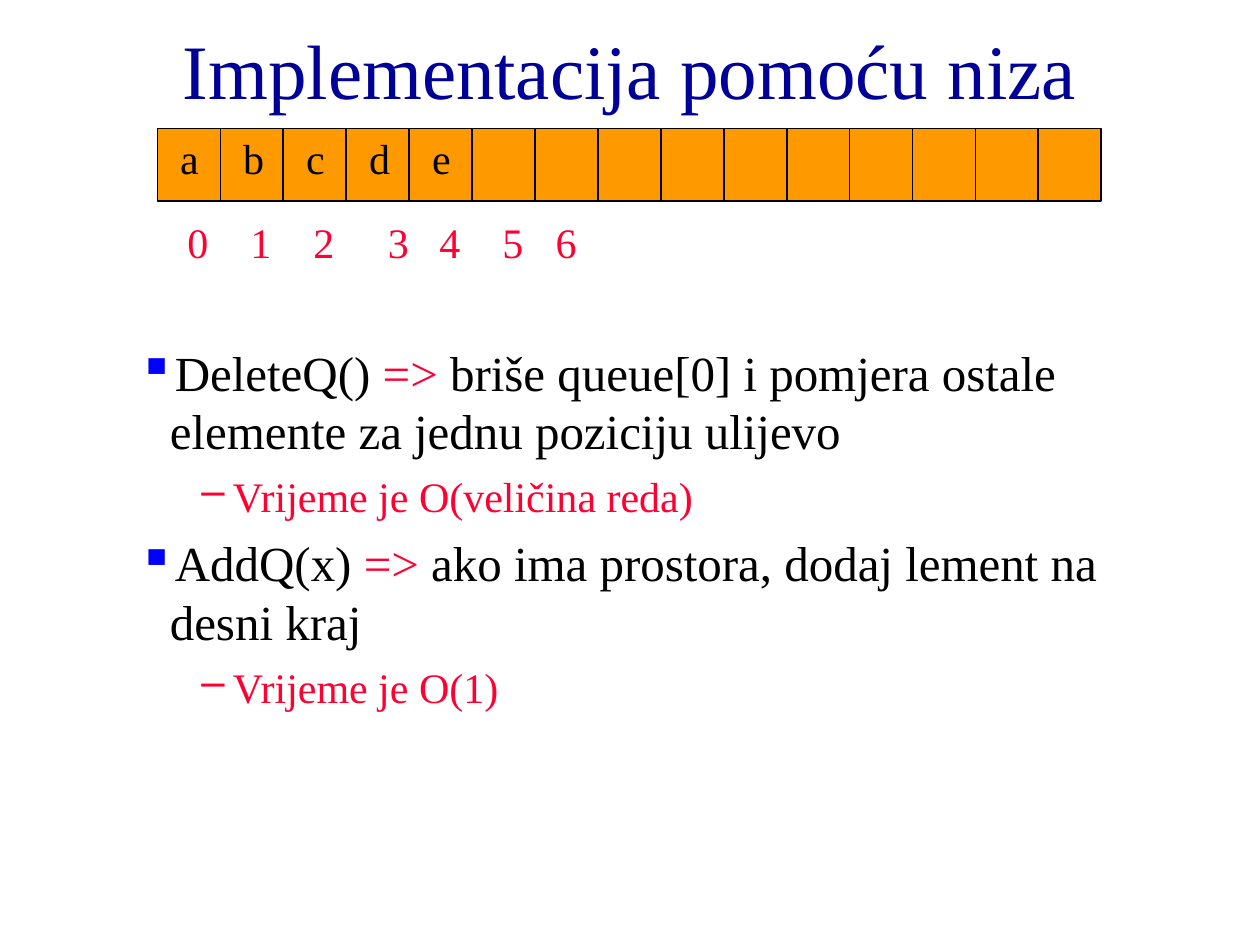
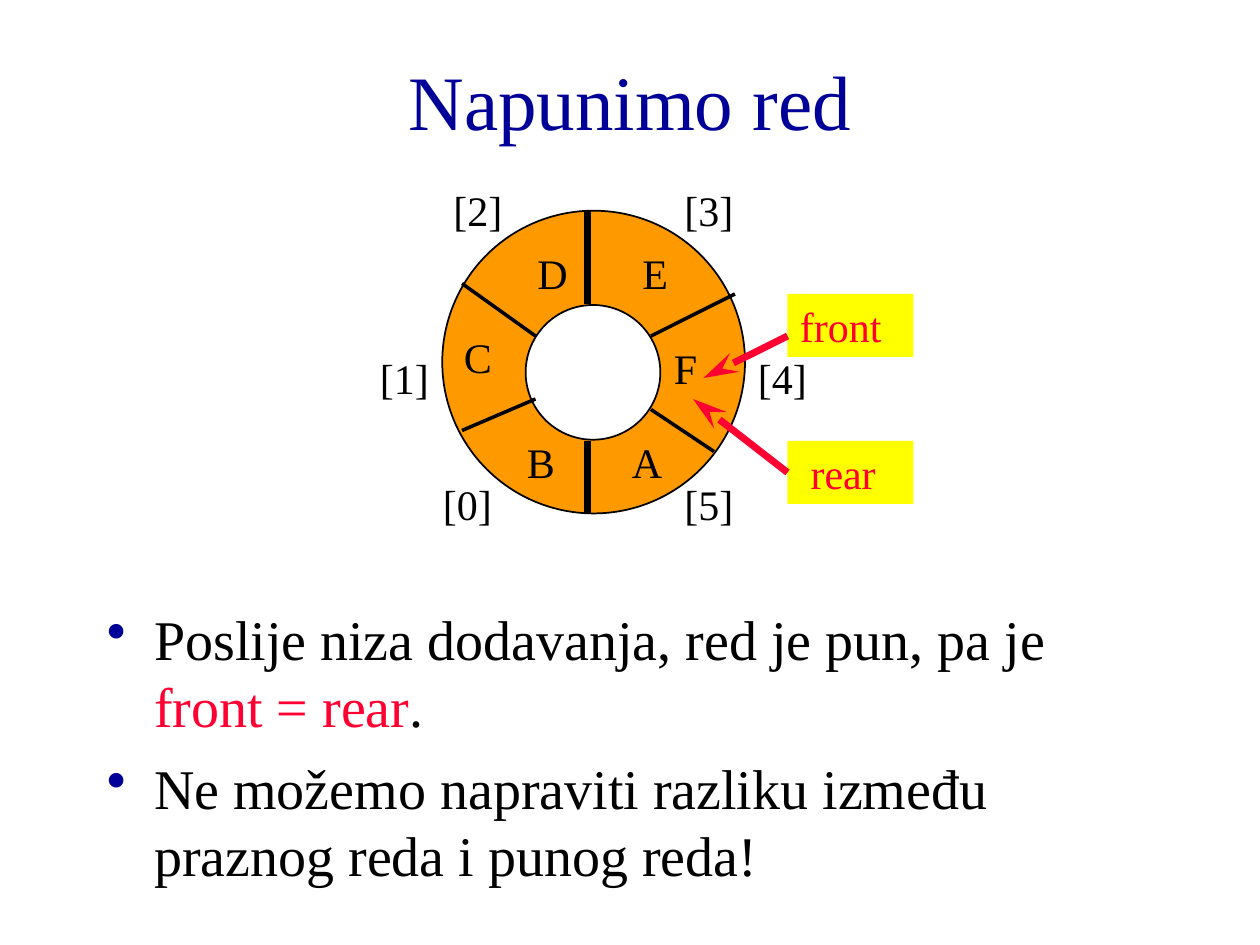
from lxml.etree import SubElement
from pptx import Presentation
from pptx.dml.color import RGBColor
from pptx.enum.shapes import MSO_CONNECTOR, MSO_SHAPE
from pptx.enum.text import MSO_ANCHOR, MSO_AUTO_SIZE, PP_ALIGN
from pptx.oxml.ns import qn
from pptx.util import Pt

COLORS = {
    "title": "000099",
    "text": "000000",
    "accent": "FF0033",
    "cell": "FF9900",
    "hole": "FFFFFF",
    "pointer": "FFFF00",
    "square_bullet": "0000FF",
}
FONT = "Times New Roman"
INSETS = {"margin_left": Pt(7.2), "margin_right": Pt(7.2),
          "margin_top": Pt(3.6), "margin_bottom": Pt(3.6)}

# Paragraph formats of the bulleted lists
OPERATION = {"size": 28, "before": 7, "left": 90, "hang": 18,
             "bullet": "▪", "bullet_color": "square_bullet"}
COST = {"size": 24, "before": 6, "left": 126, "hang": 18,
        "bullet": "–", "bullet_color": "accent"}
REMARK = {"size": 32, "before": 8, "left": 27, "hang": 27,
          "bullet": "•", "bullet_color": "title"}


def rgb(name):
    return RGBColor.from_string(COLORS[name])


def set_attributes(target, values):
    for name, value in values.items():
        setattr(target, name, value)


def add_run(paragraph, text, size, color):
    run = paragraph.add_run()
    run.text = text
    set_attributes(run.font, {"name": FONT, "size": Pt(size)})
    run.font.color.rgb = rgb(color)


def prepare_frame(frame, **values):
    set_attributes(frame, {**INSETS, "word_wrap": True,
                           "auto_size": MSO_AUTO_SIZE.NONE,
                           "vertical_anchor": MSO_ANCHOR.TOP, **values})


def add_label(shapes, text, box, color="text", wrap=True):
    label = shapes.add_textbox(*map(Pt, box))
    prepare_frame(label.text_frame, word_wrap=wrap)
    add_run(label.text_frame.paragraphs[0], text, 24, color)


def add_solid(shapes, kind, box, fill, outlined=True):
    solid = shapes.add_shape(kind, *map(Pt, box))
    solid.shadow.inherit = False
    solid.fill.solid()
    solid.fill.fore_color.rgb = rgb(fill)
    if outlined:
        solid.line.color.rgb = rgb("text")
        solid.line.width = Pt(1)
    else:
        solid.line.fill.background()
    return solid


def add_line(shapes, ends, width, color="text", arrow=False):
    connector = shapes.add_connector(MSO_CONNECTOR.STRAIGHT, *map(Pt, ends))
    connector.line.color.rgb = rgb(color)
    connector.line.width = Pt(width)
    properties = connector._element.spPr
    if arrow:
        SubElement(properties.find(qn("a:ln")), qn("a:tailEnd"),
                   type="stealth", w="med", len="lg")
    SubElement(properties, qn("a:effectLst"))


def add_titled_slide(deck, text, height):
    slide = deck.slides.add_slide(deck.slide_layouts[5])
    title = slide.shapes.title
    set_attributes(title, {"left": Pt(54), "top": Pt(12),
                           "width": Pt(612), "height": Pt(height)})
    prepare_frame(title.text_frame, vertical_anchor=MSO_ANCHOR.MIDDLE)
    heading = title.text_frame.paragraphs[0]
    heading.alignment = PP_ALIGN.CENTER
    add_run(heading, text, 44, "title")
    return slide


def add_bullets(slide, box, items):
    """Each item is a format followed by (text, colour) pairs."""
    frame = slide.shapes.add_textbox(*map(Pt, box)).text_frame
    prepare_frame(frame)
    for number, (style, *parts) in enumerate(items):
        paragraph = frame.add_paragraph() if number else frame.paragraphs[0]
        paragraph.space_before = Pt(style["before"])
        properties = paragraph._p.get_or_add_pPr()
        properties.set("marL", str(Pt(style["left"])))
        properties.set("indent", str(-Pt(style["hang"])))
        bullet_color = SubElement(properties, qn("a:buClr"))
        SubElement(bullet_color, qn("a:srgbClr"),
                   val=COLORS[style["bullet_color"]])
        SubElement(properties, qn("a:buChar"), char=style["bullet"])
        for text, color in parts:
            add_run(paragraph, text, style["size"], color)


def draw_array(slide, box, cells, letters, index_offsets):
    left, top, width, height = box
    shapes = slide.shapes.add_group_shape().shapes
    add_solid(shapes, MSO_SHAPE.RECTANGLE, box, "cell")
    pitch = width / cells
    for cell in range(1, cells):
        x = left + cell * pitch
        add_line(shapes, (x, top, x, top + height), 1)
    for index, offset in enumerate(index_offsets):
        add_label(shapes, str(index), (left + offset, top + 46.8, 26.5, 36),
                  "accent", wrap=False)
    for cell, letter in enumerate(letters):
        add_label(shapes, letter, (left + 5.8 + cell * 36, top - 1.4, 26, 36),
                  wrap=False)


def draw_ring(slide, box):
    left, top, size = box
    shapes = slide.shapes.add_group_shape().shapes
    add_solid(shapes, MSO_SHAPE.OVAL, (left + 0.7, top + 0.4, size, size), "cell")
    add_solid(shapes, MSO_SHAPE.OVAL, (left + 48.4, top + 54.3, 77, 77), "hole")

    # Dividers between the six segments
    dividers = [
        (84, 0, 84, 54, 4), (84, 132, 84, 174, 4),
        (12, 42, 54, 72, 2), (54, 108, 12, 126, 2),
        (120, 72, 168, 48, 2), (120, 114, 156, 138, 2),
    ]
    for x1, y1, x2, y2, weight in dividers:
        add_line(shapes, (left + x1, top + y1, left + x2, top + y2), weight)

    # Positions outside the ring, elements inside it
    positions = [(-6, 150), (-42, 78), (0, -18), (132, -18), (174, 78), (132, 150)]
    for index, (x, y) in enumerate(positions):
        add_label(shapes, f"[{index}]", (left + x, top + y, 66, 36))
    elements = {"A": (102, 126), "B": (42, 126), "C": (6, 66),
                "D": (48, 18), "E": (108, 18), "F": (126, 72)}
    for element, (x, y) in elements.items():
        add_label(slide.shapes, element, (left + x, top + y, 48, 36))


def draw_pointer(slide, box, name, arrow, text_inset=7.2):
    left, top = box[:2]
    tag = add_solid(slide.shapes, MSO_SHAPE.RECTANGLE, box, "pointer", outlined=False)
    prepare_frame(tag.text_frame, margin_left=Pt(text_inset))
    caption = tag.text_frame.paragraphs[0]
    caption.alignment = PP_ALIGN.LEFT
    add_run(caption, name, 24, "accent")
    start, dx, dy = arrow
    add_line(slide.shapes, (left, top + start, left + dx, top + dy),
             4, "accent", arrow=True)


def build_array_slide(deck):
    slide = add_titled_slide(deck, "Implementacija pomoću niza", 54)
    add_bullets(slide, (0, 192, 684, 318), [
        (OPERATION, ("DeleteQ() ", "text"), ("=> ", "accent"),
         ("briše queue[0] i pomjera ostale elemente za jednu poziciju ulijevo", "text")),
        (COST, ("Vrijeme je O(veličina reda)", "accent")),
        (OPERATION, ("AddQ(x) ", "text"), ("=> ", "accent"),
         ("ako ima prostora, dodaj lement na desni kraj", "text")),
        (COST, ("Vrijeme je O(1)", "accent")),
    ])
    draw_array(slide, (90, 73.4, 539.3, 41.4), 15, "abcde",
               (10, 46, 82, 124.6, 154, 190, 220.4))


def build_ring_slide(deck):
    slide = add_titled_slide(deck, "Napunimo red", 90)
    draw_ring(slide, (252, 120, 173))
    draw_pointer(slide, (450, 168, 72, 36), "front", (24, -48, 48))
    draw_pointer(slide, (450, 252, 72, 36), "rear", (18, -54, -24), text_inset=13.2)
    add_bullets(slide, (54, 342, 612, 24), [
        (REMARK, ("Poslije niza dodavanja, red je pun, pa je ", "text"),
         ("front = rear", "accent"), (".", "text")),
        (REMARK, ("Ne možemo napraviti razliku između praznog reda i punog reda!", "text")),
    ])


def main():
    deck = Presentation()
    set_attributes(deck, {"slide_width": Pt(720), "slide_height": Pt(540)})
    build_array_slide(deck)
    build_ring_slide(deck)
    deck.save("out.pptx")


if __name__ == "__main__":
    main()
